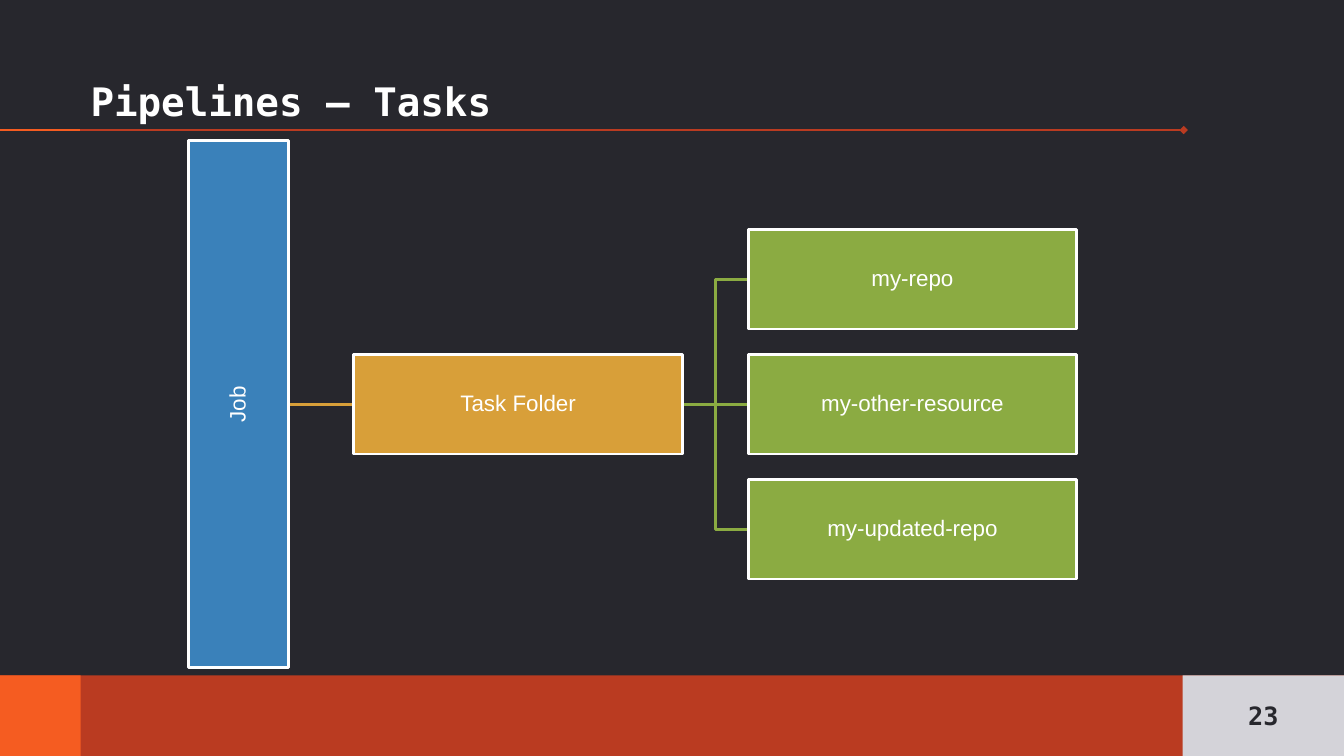
from lxml import etree
from pptx import Presentation
from pptx.dml.color import RGBColor
from pptx.enum.shapes import MSO_CONNECTOR, MSO_SHAPE
from pptx.enum.text import MSO_ANCHOR, PP_ALIGN
from pptx.oxml.ns import qn
from pptx.util import Inches, Pt

TITLE = "Pipelines – Tasks"
SLIDE_NUMBER = "23"
ROOT = "Job"
FOLDER = "Task Folder"
RESOURCES = ["my-repo", "my-other-resource", "my-updated-repo"]

DARK = RGBColor(0x27, 0x27, 0x2D)
WHITE = RGBColor(0xFF, 0xFF, 0xFF)
RED = RGBColor(0xBA, 0x3B, 0x21)
ORANGE = RGBColor(0xF5, 0x5C, 0x21)
GRAY = RGBColor(0xD4, 0xD3, 0xD9)
BLUE = RGBColor(0x3A, 0x81, 0xBA)
GOLD = RGBColor(0xD8, 0x9F, 0x39)
GREEN = RGBColor(0x8B, 0xAB, 0x42)

MONO, SANS = "DejaVu Sans Mono", "Arial"
RECTANGLE = MSO_SHAPE.RECTANGLE
STRAIGHT, ELBOW = MSO_CONNECTOR.STRAIGHT, MSO_CONNECTOR.ELBOW
LEFT, CENTER = PP_ALIGN.LEFT, PP_ALIGN.CENTER
MIDDLE, BOTTOM = MSO_ANCHOR.MIDDLE, MSO_ANCHOR.BOTTOM

SLIDE_WIDTH, SLIDE_HEIGHT = 13.33, 7.5
FOOTER_HEIGHT = 0.8
FOOTER_TOP = SLIDE_HEIGHT - FOOTER_HEIGHT
NUMBER_WIDTH = 1.6
NUMBER_LEFT = SLIDE_WIDTH - NUMBER_WIDTH
RULE_Y = 1.29

CENTER_Y = 4.01
NODE_WIDTH, NODE_HEIGHT = 3.26, 0.99
ROOT_LEFT, ROOT_LENGTH = 1.87, 5.23
COLUMN_GAP = 0.65
ROW_STEP = 1.24
FOLDER_LEFT = ROOT_LEFT + NODE_HEIGHT + COLUMN_GAP
RESOURCE_LEFT = FOLDER_LEFT + NODE_WIDTH + COLUMN_GAP


def write(shape, text, font, size, color, bold=False, align=CENTER, anchor=MIDDLE, inset=0.1):
    frame = shape.text_frame
    frame.word_wrap = True
    frame.vertical_anchor = anchor
    frame.margin_left = frame.margin_right = Inches(inset)
    frame.margin_top = frame.margin_bottom = Inches(inset)
    paragraph = frame.paragraphs[0]
    paragraph.alignment = align
    run = paragraph.add_run()
    run.text = text
    run.font.name = font
    run.font.size = Pt(size)
    run.font.bold = bold
    run.font.color.rgb = color
    return paragraph


def add_box(slide, left, top, width, height, fill):
    shape = slide.shapes.add_shape(
        RECTANGLE, Inches(left), Inches(top), Inches(width), Inches(height))
    shape.shadow.inherit = False
    shape.fill.solid()
    shape.fill.fore_color.rgb = fill
    shape.line.fill.background()
    return shape


def add_node(slide, text, center_x, center_y, width, fill):
    node = add_box(slide, center_x - width / 2, center_y - NODE_HEIGHT / 2,
                   width, NODE_HEIGHT, fill)
    node.line.color.rgb = WHITE
    node.line.width = Pt(2)
    write(node, text, SANS, 16, WHITE, inset=0.01).line_spacing = 0.9
    return node


def add_line(slide, kind, start, end, color, width):
    line = slide.shapes.add_connector(kind, *(Inches(value) for value in start + end))
    line.line.color.rgb = color
    line.line.width = Pt(width)
    etree.SubElement(line._element.spPr, qn("a:effectLst"))
    return line


def add_frame(slide):
    """Title, rule, footer band and slide number."""
    rule = add_line(slide, STRAIGHT, (-0.02, RULE_Y), (11.74, RULE_Y), RED, 1.5)
    etree.SubElement(rule.line._get_or_add_ln(), qn("a:tailEnd"), type="diamond")
    add_box(slide, 0, FOOTER_TOP, SLIDE_WIDTH, FOOTER_HEIGHT, RED)
    add_box(slide, 0, FOOTER_TOP, FOOTER_HEIGHT, FOOTER_HEIGHT, ORANGE)
    add_line(slide, STRAIGHT, (-0.02, RULE_Y), (0.79, RULE_Y), ORANGE, 1.5)
    number = add_box(slide, NUMBER_LEFT, FOOTER_TOP, NUMBER_WIDTH, FOOTER_HEIGHT, GRAY)
    write(number, SLIDE_NUMBER, MONO, 18, DARK, bold=True)
    title = slide.shapes.add_textbox(Inches(0.8), Inches(0.53), Inches(10.93), Inches(0.8))
    write(title, TITLE, MONO, 28, WHITE, bold=True, align=LEFT, anchor=BOTTOM)


def add_tree(slide):
    middle = (len(RESOURCES) - 1) / 2
    rows = [(name, CENTER_Y + (index - middle) * ROW_STEP)
            for index, name in enumerate(RESOURCES)]
    fork = (RESOURCE_LEFT - COLUMN_GAP, CENTER_Y)
    for _, y in rows:
        kind = STRAIGHT if y == CENTER_Y else ELBOW
        add_line(slide, kind, fork, (RESOURCE_LEFT, y), GREEN, 2)
    add_line(slide, STRAIGHT, (FOLDER_LEFT - COLUMN_GAP, CENTER_Y),
             (FOLDER_LEFT, CENTER_Y), GOLD, 2)

    root = add_node(slide, ROOT, ROOT_LEFT + NODE_HEIGHT / 2, CENTER_Y, ROOT_LENGTH, BLUE)
    root.rotation = 270
    add_node(slide, FOLDER, FOLDER_LEFT + NODE_WIDTH / 2, CENTER_Y, NODE_WIDTH, GOLD)
    for name, y in rows:
        add_node(slide, name, RESOURCE_LEFT + NODE_WIDTH / 2, y, NODE_WIDTH, GREEN)


def main():
    presentation = Presentation()
    presentation.slide_width = Inches(SLIDE_WIDTH)
    presentation.slide_height = Inches(SLIDE_HEIGHT)
    slide = presentation.slides.add_slide(presentation.slide_layouts[6])
    slide.background.fill.solid()
    slide.background.fill.fore_color.rgb = DARK
    add_frame(slide)
    add_tree(slide)
    presentation.save("out.pptx")


if __name__ == "__main__":
    main()
